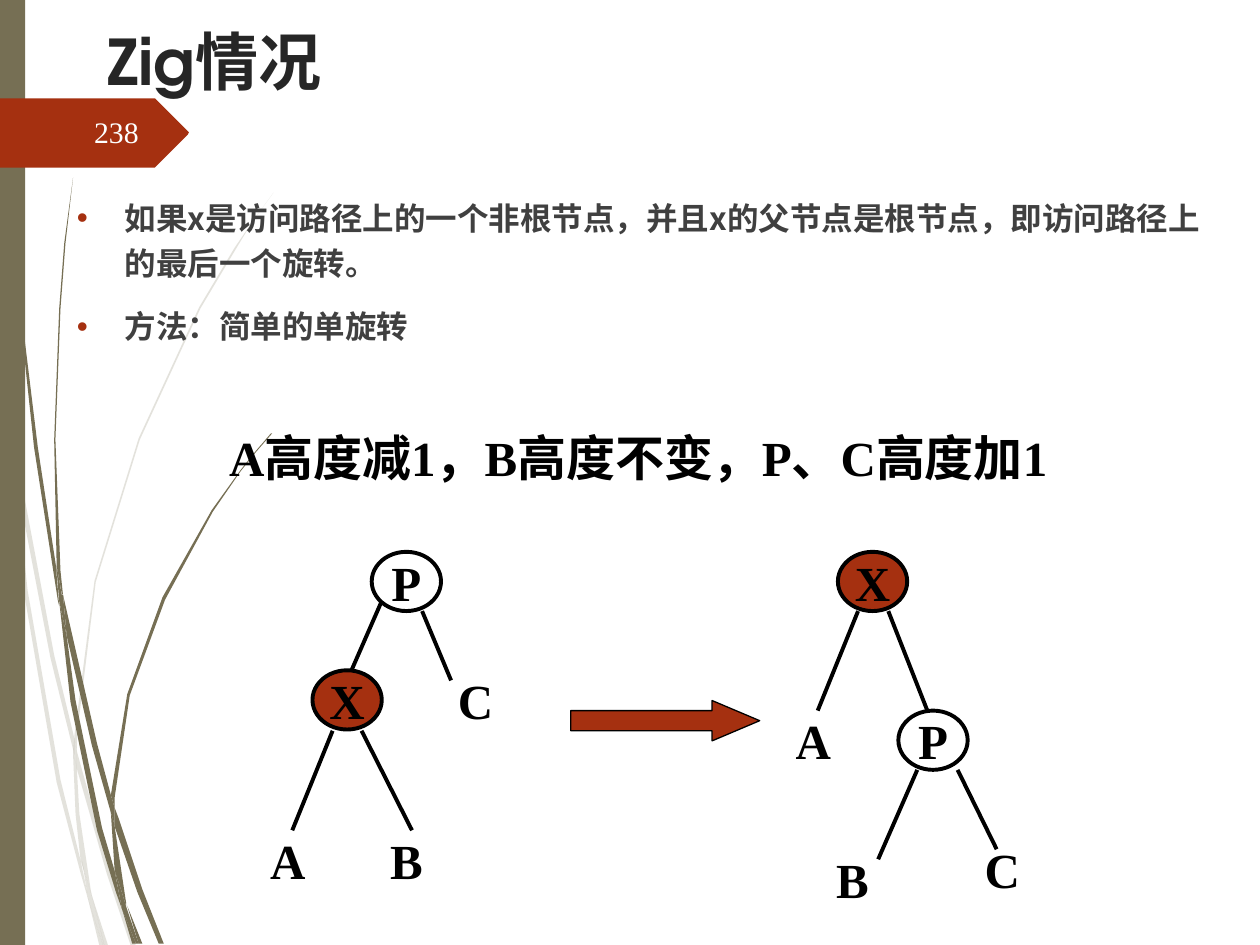
"""Build the slide that explains the zig case of a splay tree."""
from lxml.etree import SubElement
from pptx import Presentation
from pptx.dml.color import RGBColor
from pptx.enum.shapes import MSO_CONNECTOR as Connector, MSO_SHAPE as Shape
from pptx.enum.text import MSO_ANCHOR as Anchor, MSO_AUTO_SIZE as AutoSize, PP_ALIGN as Align
from pptx.oxml.ns import qn
from pptx.util import Pt

PX = 9144
THEME = {
    "olive": "766F54", "rust": "A53010", "black": "000000", "title": "262626",
    "body": "404040", "number": "FEFFFF",
    "title_size": 36, "body_size": 18, "label_size": 28, "number_size": 17,
    "serif": "Times New Roman", "display": "TeX Gyre Adventor", "cjk": "Noto Sans CJK SC",
}
TITLE = "Zig情况"
BULLETS = [
    "如果x是访问路径上的一个非根节点，并且x的父节点是根节点，即访问路径上的最后一个旋转。",
    "方法：简单的单旋转",
]
SUMMARY = "A高度减1，B高度不变，P、C高度加1"
NUMBER = "238"
NODE_SIZE = (55, 47)
TREES = [
    {
        "nodes": [("P", 295, 438, "ring"), ("X", 248, 532, "disc"), ("C", 350, 532, "leaf"),
                  ("B", 295, 659, "leaf"), ("A", 201, 659, "leaf")],
        "edges": [(303, 477, 279, 532), (264, 580, 232, 659),
                  (335, 485, 358, 540), (287, 580, 327, 659)],
    },
    {
        "nodes": [("X", 665, 438, "disc"), ("A", 618, 564, "leaf"), ("P", 713, 564, "ring"),
                  ("B", 649, 674, "leaf"), ("C", 768, 666, "leaf")],
        "edges": [(681, 485, 649, 564), (705, 485, 736, 564),
                  (728, 611, 697, 682), (760, 611, 791, 674)],
    },
]
PALE_VINES = [
    [(8, 350), (6, 322), (0, 282), (0, 299), (7, 344)],
    [(40, 522), (59, 599), (59, 586), (43, 520), (10, 345), (12, 376)],
    [(64, 607), (61, 596), (61, 610), (85, 694), (104, 751), (108, 751), (88, 692)],
    [(83, 751), (86, 751), (73, 711)],
    [(64, 683), (48, 619), (22, 469), (12, 376), (8, 350), (19, 470), (45, 621),
     (64, 693), (70, 714), (69, 707)],
    [(58, 599), (60, 646), (64, 683), (67, 692), (73, 711), (72, 706), (63, 646),
     (61, 610), (61, 608)],
    [(61, 584), (76, 462), (111, 349), (159, 245), (187, 198), (201, 175), (217, 153),
     (201, 175), (186, 197), (158, 244), (110, 348), (75, 461), (59, 584), (59, 586), (61, 596)],
    [(70, 714), (79, 751), (82, 751)],
    [(61, 608), (61, 610), (61, 596), (59, 586), (58, 599)],
    [(67, 692), (65, 683), (69, 707), (70, 714), (82, 751), (83, 751), (73, 711)],
]
DARK_VINES = [
    [(5, 110), (14, 233), (27, 355), (46, 477), (47, 481), (45, 457), (45, 453), (30, 355),
     (15, 232), (6, 109), (4, 48), (3, 0), (2, 0), (3, 48)],
    [(73, 592), (88, 645), (88, 633), (88, 631), (77, 590), (50, 472), (53, 505)],
    [(94, 649), (91, 641), (91, 656), (109, 708), (126, 749), (130, 749), (113, 706)],
    [(91, 691), (81, 657), (60, 556), (53, 505), (47, 477), (56, 557), (77, 659),
     (92, 708), (97, 722), (96, 717)],
    [(50, 472), (48, 453), (44, 349), (48, 245), (52, 193), (58, 141), (51, 193),
     (47, 245), (43, 349), (45, 449), (49, 471)],
    [(110, 749), (113, 749), (101, 719)],
    [(47, 477), (53, 505), (50, 472), (49, 472), (45, 449), (45, 453)],
    [(91, 633), (103, 552), (131, 476), (169, 406), (191, 374), (203, 359), (216, 344),
     (215, 344), (203, 358), (191, 373), (168, 405), (129, 474), (101, 551), (88, 631), (91, 641)],
    [(97, 722), (105, 749), (108, 749)],
    [(88, 645), (91, 691), (96, 706), (100, 719), (100, 716), (91, 656), (90, 651)],
    [(88, 645), (90, 651), (91, 656), (91, 641), (88, 631), (88, 633)],
    [(96, 706), (91, 691), (96, 717), (97, 722), (108, 749), (110, 749), (100, 719)],
]
MARKER = [(149, 107), (124, 132), (123, 133), (121, 133), (0, 133), (0, 78), (121, 78),
          (123, 78), (124, 79), (149, 104), (150, 105)]


def color(name):
    return RGBColor.from_string(THEME[name])


def px(*lengths):
    return [length * PX for length in lengths]


def place(shape, *box):
    shape.left, shape.top, shape.width, shape.height = px(*box)


def write(frame, lines, *, size, ink, font="serif", bold=True, align=Align.LEFT,
          anchor=Anchor.TOP, wrap=True, spacing=None, gap=0, bullet=False):
    frame.auto_size = AutoSize.NONE
    frame.word_wrap = wrap
    frame.vertical_anchor = anchor
    for index, line in enumerate(lines):
        paragraph = frame.add_paragraph() if index else frame.paragraphs[0]
        paragraph.alignment = align
        paragraph.line_spacing = spacing
        paragraph.space_before = Pt(gap if index else 0)
        if bullet:
            add_bullet(paragraph)
        run = paragraph.add_run()
        run.text = line
        run.font.name = THEME[font]
        run.font.size = Pt(THEME[size])
        run.font.bold = bold
        run.font.color.rgb = color(ink)
        SubElement(run.font._element, qn("a:ea"), typeface=THEME["cjk"])


def add_bullet(paragraph):
    properties = paragraph._p.get_or_add_pPr()
    properties.set("marL", str(38 * PX))
    properties.set("indent", str(-38 * PX))
    tint = SubElement(properties, qn("a:buClr"))
    SubElement(tint, qn("a:srgbClr"), val=THEME["rust"])
    SubElement(properties, qn("a:buFont"), typeface="Arial")
    SubElement(properties, qn("a:buChar"), char="•")


def style(shape, fill=None, line=None, width=2.25):
    shape.shadow.inherit = False
    if fill:
        shape.fill.solid()
        shape.fill.fore_color.rgb = color(fill)
    else:
        shape.fill.background()
    if line:
        shape.line.color.rgb = color(line)
        shape.line.width = Pt(width)
    else:
        shape.line.fill.background()
    return shape


def add_outline(shapes, points, fill):
    builder = shapes.build_freeform(*points[0], scale=PX)
    builder.add_line_segments(points[1:], close=True)
    return style(builder.convert_to_shape(), fill)


def add_vines(slide, outlines, alpha=None):
    group = slide.shapes.add_group_shape()
    for points in outlines:
        vine = add_outline(group.shapes, points, "olive")
        if alpha:
            tint = vine.element.spPr.find(qn("a:solidFill"))[0]
            SubElement(tint, qn("a:alpha"), val=str(alpha * 1000))


def add_tree(slide, nodes, edges):
    shapes = slide.shapes.add_group_shape().shapes
    for label, left, top, kind in nodes:
        node = shapes.add_shape(Shape.OVAL, *px(left, top, *NODE_SIZE))
        style(node, "rust" if kind == "disc" else None, None if kind == "leaf" else "black")
        write(node.text_frame, [label], size="label_size", ink="black", align=Align.CENTER,
              anchor=Anchor.MIDDLE, wrap=False)
    for edge in edges:
        line = shapes.add_connector(Connector.STRAIGHT, *px(*edge))
        line.line.color.rgb = color("black")
        line.line.width = Pt(2.25)
        SubElement(line.element.spPr, qn("a:effectLst"))


def main():
    presentation = Presentation()
    presentation.slide_width, presentation.slide_height = px(1000, 750)
    slide = presentation.slides.add_slide(presentation.slide_layouts[1])
    shapes = slide.shapes
    title, body = slide.placeholders

    add_vines(slide, PALE_VINES, alpha=20)
    add_vines(slide, DARK_VINES)
    style(shapes.add_shape(Shape.RECTANGLE, *px(0, 0, 20, 750)), "olive")
    add_outline(shapes, MARKER, "rust")

    for placeholder in (title, body):
        shapes.element.append(placeholder.element)
    place(title, 75, 13, 850, 125)
    write(title.text_frame, [TITLE], size="title_size", ink="title", font="display")
    place(body, 51, 147, 913, 307)
    write(body.text_frame, BULLETS, size="body_size", ink="body", font="cjk",
          spacing=1.2, gap=10, bullet=True)

    number = shapes.add_textbox(*px(56, 86, 64, 40))
    write(number.text_frame, [NUMBER], size="number_size", ink="number", bold=False,
          align=Align.RIGHT, anchor=Anchor.MIDDLE, spacing=0.9)
    for tree in TREES:
        add_tree(slide, **tree)
    arrow = style(shapes.add_shape(Shape.RIGHT_ARROW, *px(453, 556, 150, 32)),
                  "rust", "black", 0.75)
    arrow.adjustments[0], arrow.adjustments[1] = 0.5, 1.18
    summary = shapes.add_textbox(*px(172, 334, 762, 57))
    write(summary.text_frame, [SUMMARY], size="label_size", ink="black", wrap=False)
    presentation.save("out.pptx")


if __name__ == "__main__":
    main()
